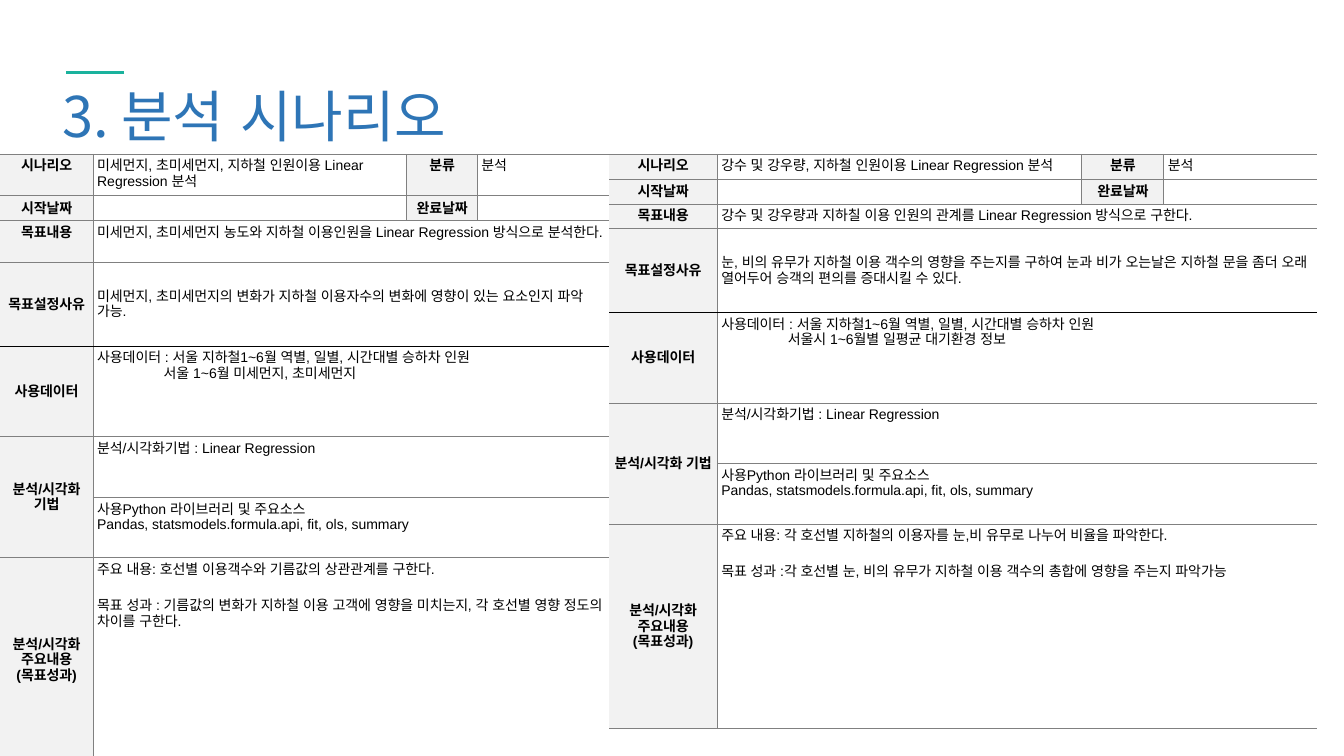
from lxml import etree
from pptx import Presentation
from pptx.dml.color import RGBColor
from pptx.enum.lang import MSO_LANGUAGE_ID
from pptx.enum.shapes import MSO_CONNECTOR
from pptx.enum.text import MSO_ANCHOR, MSO_AUTO_SIZE, PP_ALIGN
from pptx.oxml import parse_xml
from pptx.oxml.ns import nsdecls, qn
from pptx.util import Inches, Pt

KOREAN = MSO_LANGUAGE_ID.KOREAN
STRAIGHT = MSO_CONNECTOR.STRAIGHT
TOP, MIDDLE = MSO_ANCHOR.TOP, MSO_ANCHOR.MIDDLE
LEFT, CENTER = PP_ALIGN.LEFT, PP_ALIGN.CENTER
FIT_SHAPE = MSO_AUTO_SIZE.SHAPE_TO_FIT_TEXT

BLUE = RGBColor(0x2E, 0x75, 0xB6)
TEAL = RGBColor(0x1A, 0xB2, 0x9D)
LABEL_FILL = RGBColor(0xF2, 0xF2, 0xF2)
GRAY = RGBColor(0x80, 0x80, 0x80)
BLACK = RGBColor(0x00, 0x00, 0x00)
TITLE_FONT, BODY_FONT = "Noto Sans CJK KR", "Arial"

COLUMN_SHARES = (0.153, 0.515, 0.116, 0.216)
ROW_HEIGHTS = (0.24, 0.24, 0.24, 0.83, 0.9, 0.6, 0.6, 2.03)
HEADER_ROWS = 2      # rows split into four cells
REASON_ROW, DATA_ROW, METHOD_ROW, RESULT_ROW = 3, 4, 5, 7
LABELS = {
    (0, 0): "시나리오", (0, 2): "분류",
    (1, 0): "시작날짜", (1, 2): "완료날짜",
    (2, 0): "목표내용", (3, 0): "목표설정사유", (4, 0): "사용데이터",
    (5, 0): "분석/시각화 기법", (7, 0): "분석/시각화 주요내용\n(목표성과)",
}
SHARED_TEXT = {
    (0, 3): "분석",
    (5, 1): "분석/시각화기법 : Linear Regression",
    (6, 1): "사용Python 라이브러리 및 주요소스\n"
            "Pandas, statsmodels.formula.api, fit, ols, summary",
}
DATA_LINE = "사용데이터 : 서울 지하철1~6월 역별, 일별, 시간대별 승하차 인원\n"
DUST_TEXT = {
    (0, 1): "미세먼지, 초미세먼지, 지하철 인원이용 Linear Regression 분석",
    (2, 1): "미세먼지, 초미세먼지 농도와 지하철 이용인원을 Linear Regression 방식으로 분석한다.",
    (3, 1): "미세먼지, 초미세먼지의 변화가 지하철 이용자수의 변화에 영향이 있는 요소인지 파악 가능.",
    (4, 1): DATA_LINE + "서울 1~6월 미세먼지, 초미세먼지",
    (7, 1): "주요 내용: 호선별 이용객수와 기름값의 상관관계를 구한다.\n"
            "목표 성과 : 기름값의 변화가 지하철 이용 고객에 영향을 미치는지, "
            "각 호선별 영향 정도의 차이를 구한다.",
}
RAIN_TEXT = {
    (0, 1): "강수 및 강우량, 지하철 인원이용 Linear Regression 분석",
    (2, 1): "강수 및 강우량과 지하칠 이용 인원의 관계를 Linear Regression 방식으로 구한다.",
    (3, 1): "눈, 비의 유무가 지하철 이용 객수의 영향을 주는지를 구하여 눈과 비가 오는날은 "
            "지하철 문을 좀더 오래 열어두어 승객의 편의를 증대시킬 수 있다.",
    (4, 1): DATA_LINE + "서울시 1~6월별 일평균 대기환경 정보",
    (7, 1): "주요 내용: 각 호선별 지하철의 이용자를 눈,비 유무로 나누어 비율을 파악한다.\n"
            "목표 성과 :각 호선별 눈, 비의 유무가 지하철 이용 객수의 총합에 영향을 주는지 파악가능",
}


def format_run(r, font, size, color, bold=False):
    r.font.name, r.font.size, r.font.bold = font, Pt(size), bold
    r.font.color.rgb = color
    r.font.language_id = KOREAN
    r.font._element.find(qn("a:latin")).addnext(
        parse_xml(f'<a:ea {nsdecls("a")} typeface="{font}"/>'))


def add_title(slide, left, top, width, height):
    # Accent line above the heading
    line = slide.shapes.add_connector(STRAIGHT, Inches(left + 0.71), Inches(top - 0.04),
                                      Inches(left + 0.13), Inches(top - 0.04))
    line.line.color.rgb, line.line.width = TEAL, Pt(2)
    etree.SubElement(line._element.spPr, qn("a:effectLst"))

    # Heading with a faint outline
    sp = slide.shapes.add_textbox(Inches(left), Inches(top), Inches(width), Inches(height))
    tf = sp.text_frame
    tf.word_wrap, tf.auto_size = False, FIT_SHAPE
    tf.text = "3. 분석 시나리오"
    r = tf.paragraphs[0].runs[0]
    format_run(r, TITLE_FONT, 40, BLUE)
    r.font._element.insert(0, parse_xml(
        f'<a:ln {nsdecls("a")} w="{Pt(0.75)}"><a:solidFill><a:srgbClr val="404040">'
        '<a:alpha val="30000"/></a:srgbClr></a:solidFill></a:ln>'))


def set_borders(cell, row, col):
    # The table is open on its outer left and right sides
    def vertical(edge):
        return GRAY if edge == 1 or (edge in (2, 3) and row < HEADER_ROWS) else None

    edges = {
        "lnL": vertical(col),
        "lnR": vertical(col + 1),
        "lnT": BLACK if row == DATA_ROW else GRAY,
        "lnB": BLACK if row == REASON_ROW else GRAY,
    }
    tc_pr = cell._tc.get_or_add_tcPr()
    for tag, color in edges.items():
        ln = etree.SubElement(tc_pr, qn(f"a:{tag}"))
        if color is None:
            etree.SubElement(ln, qn("a:noFill"))
        else:
            ln.set("w", str(Pt(1 if color == BLACK else 0.75)))
            fill = etree.SubElement(ln, qn("a:solidFill"))
            etree.SubElement(fill, qn("a:srgbClr"), val=str(color))


def fill_cell(cell, row, col, text):
    is_label = (row, col) in LABELS
    set_borders(cell, row, col)
    if is_label:
        cell.fill.solid()
        cell.fill.fore_color.rgb = LABEL_FILL
    else:
        cell.fill.background()
    cell.margin_left = cell.margin_right = Inches(0.04)
    cell.margin_top = cell.margin_bottom = Inches(0.04)
    middle = row not in (0, 2) if is_label else row == REASON_ROW
    cell.vertical_anchor = MIDDLE if middle else TOP

    tf = cell.text_frame
    tf.text = text
    for i, p in enumerate(tf.paragraphs):
        p.alignment = CENTER if is_label else LEFT
        if i and not is_label and row == RESULT_ROW:
            p.space_before = Pt(14.5)
        if i and not is_label and row == DATA_ROW:
            p._p.get_or_add_pPr().set("marL", str(Inches(0.66)))
        for r in p.runs:
            format_run(r, BODY_FONT, 10, BLACK, is_label)
        if not p.runs:
            etree.SubElement(p._p, qn("a:endParaRPr"), sz="1000")


def add_scenario_table(slide, left, top, width, scenario):
    rows, cols = len(ROW_HEIGHTS), len(COLUMN_SHARES)
    frame = slide.shapes.add_table(rows, cols, Inches(left), Inches(top),
                                   Inches(width), Inches(sum(ROW_HEIGHTS)))
    table = frame.table
    table.first_row = table.horz_banding = False
    for column, share in zip(table.columns, COLUMN_SHARES):
        column.width = Inches(width * share)
    for table_row, height in zip(table.rows, ROW_HEIGHTS):
        table_row.height = Inches(height)

    texts = {**LABELS, **SHARED_TEXT, **scenario}
    for row in range(rows):
        for col in range(cols):
            fill_cell(table.cell(row, col), row, col, texts.get((row, col), ""))

    # Wide content cells and the two-row method label
    for row in range(HEADER_ROWS, rows):
        table.cell(row, 1).merge(table.cell(row, cols - 1))
    table.cell(METHOD_ROW, 0).merge(table.cell(METHOD_ROW + 1, 0))


def main():
    prs = Presentation()
    prs.slide_width, prs.slide_height = Inches(13.33), Inches(7.5)
    slide = prs.slides.add_slide(prs.slide_layouts[6])
    add_title(slide, 0.52, 0.76, 4.19, 0.77)
    add_scenario_table(slide, 0, 1.53, 6.04, DUST_TEXT)
    add_scenario_table(slide, 6.04, 1.53, 7.02, RAIN_TEXT)
    prs.save("out.pptx")


if __name__ == "__main__":
    main()
